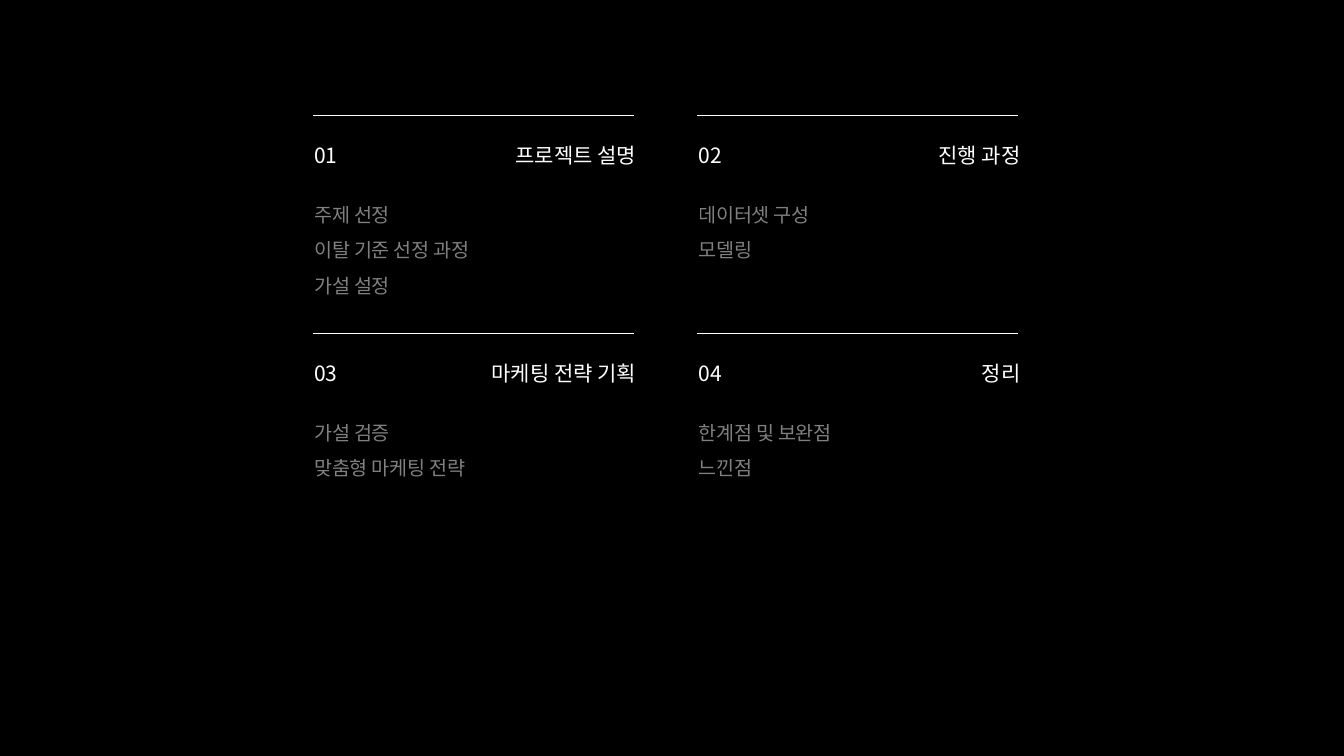
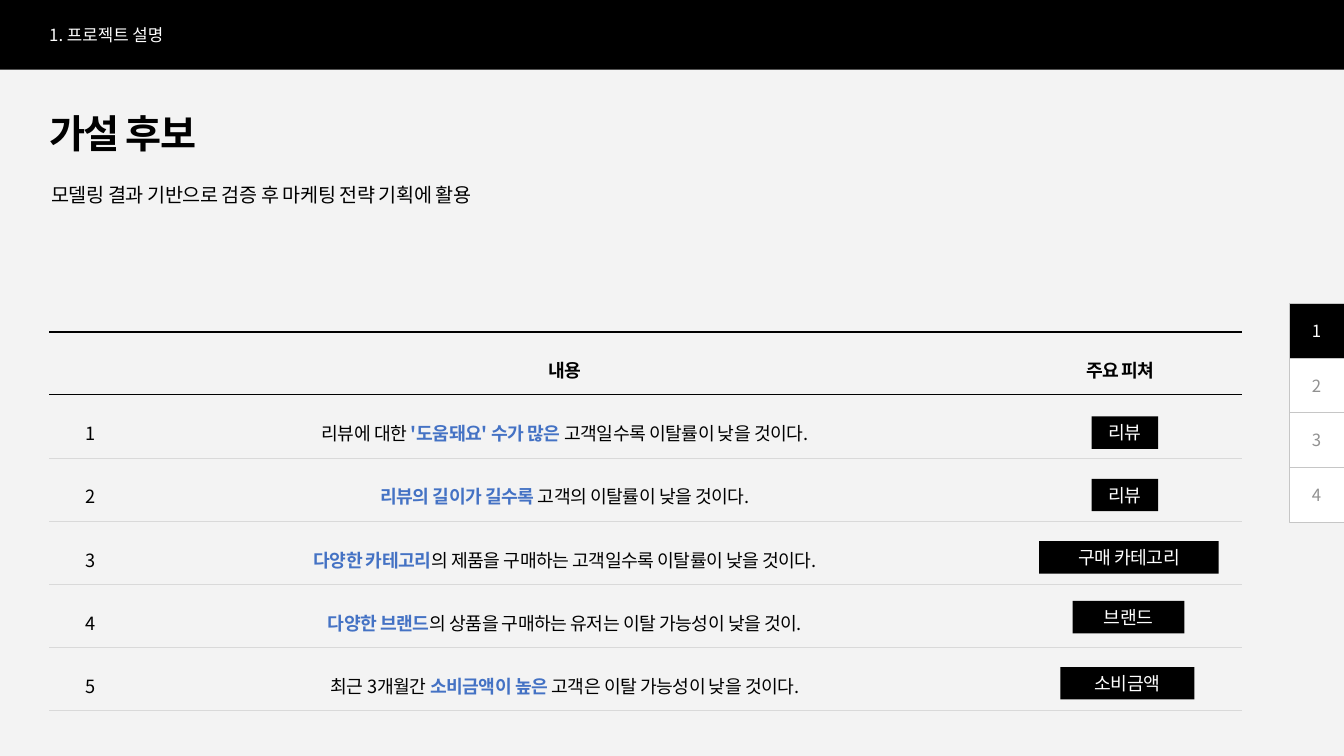
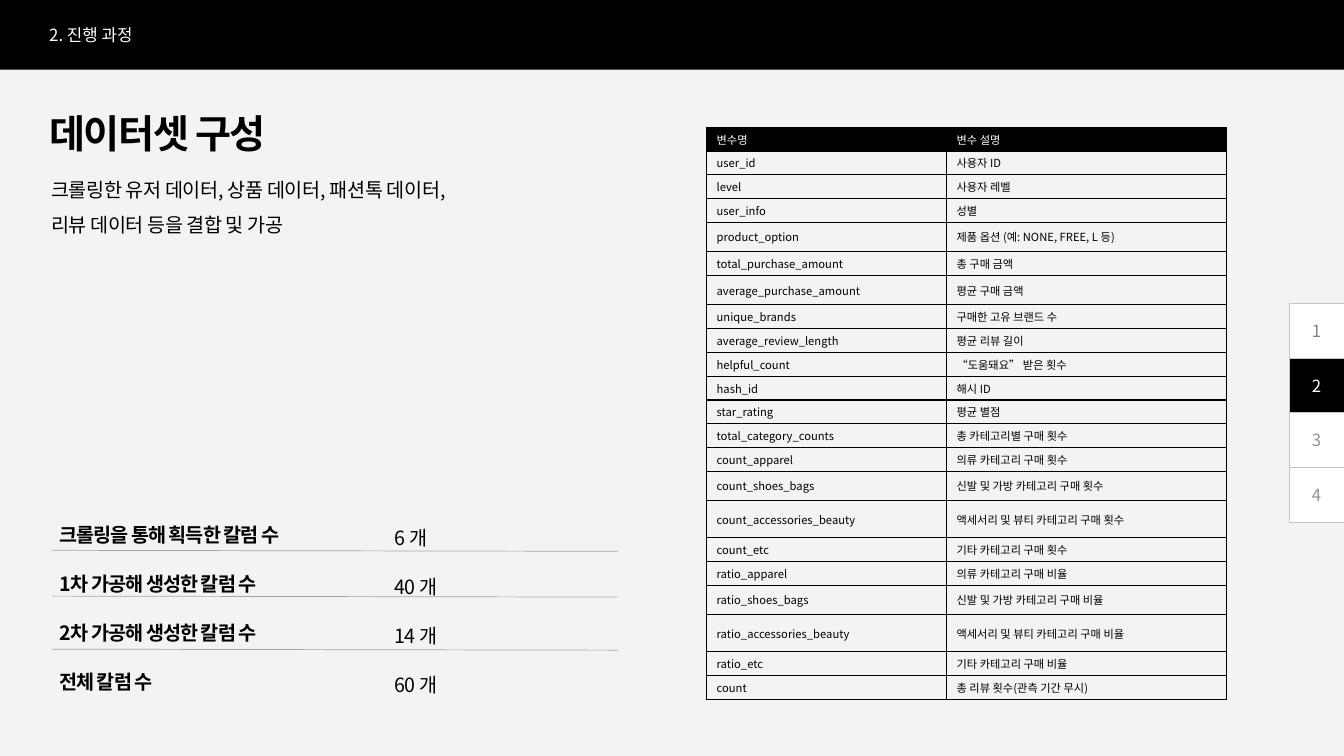
from typing import NamedTuple, Optional

from lxml.etree import SubElement
from pptx import Presentation
from pptx.dml.color import RGBColor
from pptx.enum.shapes import MSO_CONNECTOR as Connector, MSO_SHAPE as Preset
from pptx.enum.text import MSO_ANCHOR as Anchor, MSO_AUTO_SIZE as AutoSize, PP_ALIGN as Align
from pptx.oxml.ns import qn
from pptx.util import Pt

FONT = "Noto Sans CJK KR"
COLORS = {
    "black": "000000",
    "white": "FFFFFF",
    "paper": "F3F3F3",
    "accent": "4472C4",
    "row_rule": "D9D9D9",
    "stat_rule": "A5A5A5",
    "tab_edge": "C6C6C6",
    "tab_past": "808080",
    "tab_next": "919191",
}
WIDTH, HEIGHT = 960, 540
TAB_SIDE, TAB_TOP, TAB_COUNT = 39.1, 216.7, 4


class Section(NamedTuple):
    title: str
    topics: str


class Hypothesis(NamedTuple):
    statement: str
    highlight: str
    feature: str
    pill_left: float
    pill_top: float
    pill_width: float


class Variable(NamedTuple):
    name: str
    meaning: str
    height: float = 17


class Stat(NamedTuple):
    label: str
    count: str


class Edge(NamedTuple):
    color: str
    width: float


SECTIONS = [
    Section("프로젝트 설명", "주제 선정\n이탈 기준 선정 과정\n가설 설정"),
    Section("진행 과정", "데이터셋 구성\n모델링"),
    Section("마케팅 전략 기획", "가설 검증\n맞춤형 마케팅 전략"),
    Section("정리", "한계점 및 보완점\n느낀점"),
]
HYPOTHESES = [
    Hypothesis("리뷰에 대한 '도움돼요' 수가 많은 고객일수록 이탈률이 낮을 것이다.",
               "'도움돼요' 수가 많은", "리뷰", 779.8, 297.4, 47.5),
    Hypothesis("리뷰의 길이가 길수록 고객의 이탈률이 낮을 것이다.",
               "리뷰의 길이가 길수록", "리뷰", 779.8, 342, 47.5),
    Hypothesis("다양한 카테고리의 제품을 구매하는 고객일수록 이탈률이 낮을 것이다.",
               "다양한 카테고리", "구매 카테고리", 742.3, 386.6, 128.2),
    Hypothesis("다양한 브랜드의 상품을 구매하는 유저는 이탈 가능성이 낮을 것이.",
               "다양한 브랜드", "브랜드", 766.1, 429.3, 79.9),
    Hypothesis("최근 3개월간 소비금액이 높은 고객은 이탈 가능성이 낮을 것이다.",
               "소비금액이 높은 ", "소비금액", 757.4, 476.5, 95.8),
]
VARIABLES = [
    Variable("변수명", "변수 설명"),
    Variable("user_id", "사용자 ID"),
    Variable("level", "사용자 레벨"),
    Variable("user_info", "성별"),
    Variable("product_option", "제품 옵션 (예: NONE, FREE, L 등)", 21),
    Variable("total_purchase_amount", "총 구매 금액"),
    Variable("average_purchase_amount", "평균 구매 금액", 21),
    Variable("unique_brands", "구매한 고유 브랜드 수"),
    Variable("average_review_length", "평균 리뷰 길이"),
    Variable("helpful_count", "“도움돼요” 받은 횟수"),
    Variable("hash_id", "해시 ID"),
    Variable("star_rating", "평균 별점"),
    Variable("total_category_counts", "총 카테고리별 구매 횟수"),
    Variable("count_apparel", "의류 카테고리 구매 횟수"),
    Variable("count_shoes_bags", "신발 및 가방 카테고리 구매 횟수", 21),
    Variable("count_accessories_beauty", "액세서리 및 뷰티 카테고리 구매 횟수", 26.5),
    Variable("count_etc", "기타 카테고리 구매 횟수"),
    Variable("ratio_apparel", "의류 카테고리 구매 비율"),
    Variable("ratio_shoes_bags", "신발 및 가방 카테고리 구매 비율", 21),
    Variable("ratio_accessories_beauty", "액세서리 및 뷰티 카테고리 구매 비율", 26.5),
    Variable("ratio_etc", "기타 카테고리 구매 비율"),
    Variable("count", "총 리뷰 횟수(관측 기간 무시)"),
]
STATS = [
    Stat("크롤링을 통해 획득한 칼럼 수", "6 개"),
    Stat("1차 가공해 생성한 칼럼 수", "40 개"),
    Stat("2차 가공해 생성한 칼럼 수", "14 개"),
    Stat("전체 칼럼 수", "60 개"),
]


def rgb(name: str) -> RGBColor:
    return RGBColor.from_string(COLORS[name])


def write(frame, text: str, *, size: float, color: str = "black", bold: bool = False,
          tracking: float = 0, leading=None, align=Align.LEFT, alpha: int = 100,
          highlight: str = "") -> None:
    frame.word_wrap = True
    for index, line in enumerate(text.split("\n")):
        paragraph = frame.add_paragraph() if index else frame.paragraphs[0]
        paragraph.alignment = align
        if leading:
            paragraph.line_spacing = leading
        parts = line.partition(highlight) if highlight else (line,)
        for part in filter(None, parts):
            marked = part == highlight
            run = paragraph.add_run()
            run.text = part
            font = run.font
            font.size, font.bold, font.name = Pt(size), bold or marked, FONT
            font.color.rgb = rgb("accent" if marked else color)
            properties = run._r.get_or_add_rPr()
            SubElement(properties, qn("a:ea"), typeface=FONT)
            if tracking:
                properties.set("spc", str(round(tracking * 100)))
            if alpha < 100:
                tone = properties.find(qn("a:solidFill"))[0]
                SubElement(tone, qn("a:alpha"), val=str(alpha * 1000))


def add_text(slide, left: float, top: float, width: float, height: float,
             text: str, **style) -> None:
    frame = slide.shapes.add_textbox(Pt(left), Pt(top), Pt(width), Pt(height)).text_frame
    write(frame, text, **style)
    frame.auto_size = AutoSize.SHAPE_TO_FIT_TEXT


def add_block(slide, left: float, top: float, width: float, height: float, fill: str,
              edge: Optional[Edge] = None, text: str = "", **style) -> None:
    block = slide.shapes.add_shape(Preset.RECTANGLE, Pt(left), Pt(top), Pt(width), Pt(height))
    block.shadow.inherit = False
    block.fill.solid()
    block.fill.fore_color.rgb = rgb(fill)
    if edge:
        block.line.color.rgb = rgb(edge.color)
        block.line.width = Pt(edge.width)
    else:
        block.line.fill.background()
    if text:
        block.text_frame.vertical_anchor = Anchor.MIDDLE
        write(block.text_frame, text, align=Align.CENTER, **style)


def add_rule(slide, x1: float, y1: float, x2: float, y2: float, edge: Edge) -> None:
    rule = slide.shapes.add_connector(Connector.STRAIGHT, Pt(x1), Pt(y1), Pt(x2), Pt(y2))
    rule.line.color.rgb = rgb(edge.color)
    rule.line.width = Pt(edge.width)
    SubElement(rule._element.spPr, qn("a:effectLst"))


def add_grid(slide, left: float, top: float, widths: list, heights: list):
    table = slide.shapes.add_table(len(heights), len(widths), Pt(left), Pt(top),
                                   Pt(sum(widths)), Pt(sum(heights))).table
    table.first_row = table.horz_banding = False
    for column, width in zip(table.columns, widths):
        column.width = Pt(width)
    for row, height in zip(table.rows, heights):
        row.height = Pt(height)
    return table


def format_cell(cell, left: Optional[Edge], right: Optional[Edge], top: Edge, bottom: Edge,
                fill: str = "") -> None:
    cell.vertical_anchor = Anchor.MIDDLE
    properties = cell._tc.get_or_add_tcPr()
    for side, edge in zip("LRTB", (left, right, top, bottom)):
        border = SubElement(properties, qn(f"a:ln{side}"))
        if edge:
            border.set("w", str(Pt(edge.width)))
            paint = SubElement(border, qn("a:solidFill"))
            SubElement(paint, qn("a:srgbClr"), val=COLORS[edge.color])
        else:
            SubElement(border, qn("a:noFill"))
    if fill:
        cell.fill.solid()
        cell.fill.fore_color.rgb = rgb(fill)
    else:
        cell.fill.background()


def new_slide(deck, background: str):
    slide = deck.slides.add_slide(deck.slide_layouts[6])
    slide.background.fill.solid()
    slide.background.fill.fore_color.rgb = rgb(background)
    return slide


def section_slide(deck, current: int, title: str):
    slide = new_slide(deck, "paper")
    add_block(slide, 0, 0, WIDTH, 49.7, "black")
    add_text(slide, 28.1, 14.2, 480, 21.8, f"{current}. {SECTIONS[current - 1].title}",
             size=12, color="white")
    for number in range(1, TAB_COUNT + 1):
        active = number == current
        ink = "white" if active else "tab_past" if number < current else "tab_next"
        add_block(slide, WIDTH - TAB_SIDE, TAB_TOP + (number - 1) * TAB_SIDE, TAB_SIDE, TAB_SIDE,
                  "black" if active else "white", Edge("tab_edge", 0.5),
                  str(number), size=12, color=ink)
    add_text(slide, 28.1, 71.3, 390, 44, title, size=28, bold=True, tracking=-1, leading=1.1)
    return slide


def add_lead(slide, top: float, height: float, text: str) -> None:
    add_text(slide, 29.5, top, 553.7, height, text, size=14, tracking=-0.3, leading=1.5)


def build_contents(deck) -> None:
    slide = new_slide(deck, "black")
    for index, section in enumerate(SECTIONS):
        row, column = divmod(index, 2)
        left, top = 223.4 + column * 274.5, 82.5 + row * 155.7
        heading = dict(size=15, color="white", leading=1.5)
        add_rule(slide, left, top, left + 229.4, top, Edge("white", 0.75))
        add_text(slide, left - 6, top + 6.7, 39.6, 33.8, f"{index + 1:02}", **heading)
        add_text(slide, left + 37.2, top + 6.7, 200.9, 33.8, section.title,
                 align=Align.RIGHT, **heading)
        add_text(slide, left - 6, top + 50.6, 251.3, 57, section.topics, size=14,
                 color="white", alpha=50, tracking=-0.2, leading=1.5)


def build_hypotheses(deck) -> None:
    slide = section_slide(deck, 1, "가설 후보")
    add_lead(slide, 118.8, 32.4, "모델링 결과 기반으로 검증 후 마케팅 전략 기획에 활용")
    table = add_grid(slide, 35.2, 236.9, [58.3, 620, 173.5], [45.1] * (len(HYPOTHESES) + 1))
    thick, thin, pale = Edge("black", 1.5), Edge("black", 0.5), Edge("row_rule", 0.5)
    edges = [thick, thin] + [pale] * len(HYPOTHESES)
    for row in range(len(HYPOTHESES) + 1):
        for column in range(3):
            format_cell(table.cell(row, column), None, None, edges[row], edges[row + 1])
    shared = dict(size=13, leading=1.5, align=Align.CENTER)
    for column, heading in enumerate(["내용", "주요 피쳐"], 1):
        write(table.cell(0, column).text_frame, heading, bold=True, tracking=-0.7, **shared)
    for number, item in enumerate(HYPOTHESES, 1):
        write(table.cell(number, 0).text_frame, str(number), tracking=-0.3, **shared)
        write(table.cell(number, 1).text_frame, item.statement, tracking=-0.3,
              highlight=item.highlight, **shared)
        add_block(slide, item.pill_left, item.pill_top, item.pill_width, 23.2, "black",
                  text=item.feature, size=13, color="white", tracking=-0.3)


def build_dataset(deck) -> None:
    slide = section_slide(deck, 2, "데이터셋 구성")
    add_lead(slide, 115.2, 57.6,
             "크롤링한 유저 데이터, 상품 데이터, 패션톡 데이터,\n리뷰 데이터 등을 결합 및 가공")
    stat_style = dict(size=14, tracking=-0.7, leading=Pt(35))
    add_text(slide, 35.3, 352.1, 237.6, 147, "\n".join(stat.label for stat in STATS),
             bold=True, **stat_style)
    add_text(slide, 275, 354.2, 194.4, 147, "\n".join(stat.count for stat in STATS),
             **stat_style)
    for top in (393.1, 425.8, 463.7):
        add_rule(slide, 37.2, top, 441.2, top + 0.7, Edge("stat_rule", 0.5))
    table = add_grid(slide, 504.7, 90.9, [171.4, 200.2], [item.height for item in VARIABLES])
    edge = Edge("black", 1)
    for row, item in enumerate(VARIABLES):
        for column, text in enumerate((item.name, item.meaning)):
            cell = table.cell(row, column)
            format_cell(cell, edge, edge, edge, edge, "" if row else "black")
            cell.margin_top = cell.margin_bottom = Pt(2)
            write(cell.text_frame, text, size=8, color="black" if row else "white")


def main() -> None:
    deck = Presentation()
    deck.slide_width, deck.slide_height = Pt(WIDTH), Pt(HEIGHT)
    build_contents(deck)
    build_hypotheses(deck)
    build_dataset(deck)
    deck.save("out.pptx")


if __name__ == "__main__":
    main()
